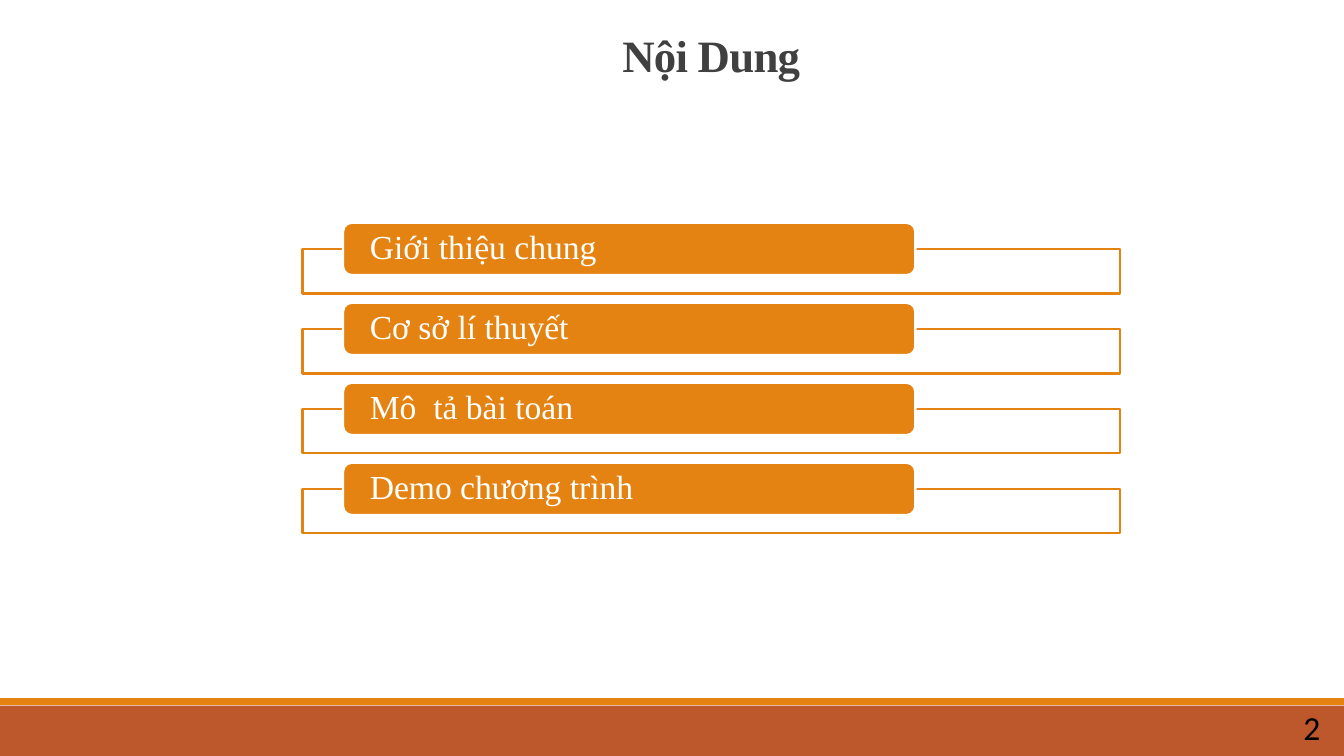
"""Build the contents slide: a title, four topic bars, a footer and a page number."""
from pptx import Presentation
from pptx.dml.color import RGBColor
from pptx.enum.shapes import MSO_SHAPE as Shape
from pptx.enum.text import MSO_ANCHOR as Anchor, PP_ALIGN as Align
from pptx.oxml.ns import qn
from pptx.util import Pt
from lxml.etree import SubElement

TITLE = "Nội Dung"
TOPICS = ["Giới thiệu chung", "Cơ sở lí thuyết", "Mô  tả bài toán", "Demo chương trình"]
PAGE = "2"
ORANGE, RUST, WHITE, GREY, BLACK = "E48312", "BD582C", "FFFFFF", "404040", "000000"
SERIF, SANS = "Times New Roman", "Calibri"
FRAME_LEFT, FRAME_TOP, FRAME_WIDTH, FRAME_HEIGHT = 162, 133.4, 438, 23.8
PILL_LEFT, PILL_TOP, PILL_WIDTH, PILL_HEIGHT = 183.8, 119.4, 306.6, 28
TOPIC_STEP = 42.85


def color(value):
    return RGBColor.from_string(value)


def add_box(slide, kind, left, top, width, height, fill, line=None):
    box = slide.shapes.add_shape(kind, Pt(left), Pt(top), Pt(width), Pt(height))
    box.shadow.inherit = False
    box.fill.solid()
    box.fill.fore_color.rgb = color(fill)
    if line:
        box.line.color.rgb = color(line)
        box.line.width = Pt(1.25)
    else:
        box.line.fill.background()
    return box


def write(shape, text, face, size, ink, align=Align.LEFT, anchor=Anchor.TOP, spacing=1, bold=False):
    frame = shape.text_frame
    frame.word_wrap = True
    frame.vertical_anchor = anchor
    paragraph = frame.paragraphs[0]
    paragraph.text = text
    paragraph.alignment = align
    paragraph.line_spacing = spacing
    font = paragraph.font
    font.name, font.size, font.bold = face, Pt(size), bold
    font.color.rgb = color(ink)
    return frame


def add_topic(slide, index, topic):
    offset = index * TOPIC_STEP
    frame = add_box(slide, Shape.RECTANGLE, FRAME_LEFT, FRAME_TOP + offset,
                    FRAME_WIDTH, FRAME_HEIGHT, WHITE, ORANGE)
    frame_fill = frame.fill.fore_color._xFill.find(qn("a:srgbClr"))
    SubElement(frame_fill, qn("a:alpha"), val="90000")
    pill = add_box(slide, Shape.ROUNDED_RECTANGLE, PILL_LEFT, PILL_TOP + offset,
                   PILL_WIDTH, PILL_HEIGHT, ORANGE, WHITE)
    label = write(pill, topic, SERIF, 18, WHITE, anchor=Anchor.MIDDLE, spacing=0.9)
    label.margin_left = label.margin_right = Pt(13)
    label.margin_top = label.margin_bottom = Pt(0)


def main():
    deck = Presentation()
    deck.slide_width, deck.slide_height = Pt(720), Pt(405)
    slide = deck.slides.add_slide(deck.slide_layouts[6])
    add_box(slide, Shape.RECTANGLE, 0, 378, 720, 27, RUST)
    add_box(slide, Shape.RECTANGLE, 0, 374, 720, 3.8, ORANGE)

    title = slide.shapes.add_textbox(Pt(141), Pt(4.3), Pt(480), Pt(43.2))
    heading = write(title, TITLE, SERIF, 24, GREY, Align.CENTER, Anchor.BOTTOM, 0.85, True)
    heading.paragraphs[0].runs[0].font._element.set("spc", "-40")

    for index, topic in enumerate(TOPICS):
        add_topic(slide, index, topic)

    page = slide.shapes.add_textbox(Pt(691.2), Pt(375.2), Pt(26), Pt(29))
    write(page, PAGE, SANS, 18, BLACK)
    deck.save("out.pptx")


if __name__ == "__main__":
    main()
